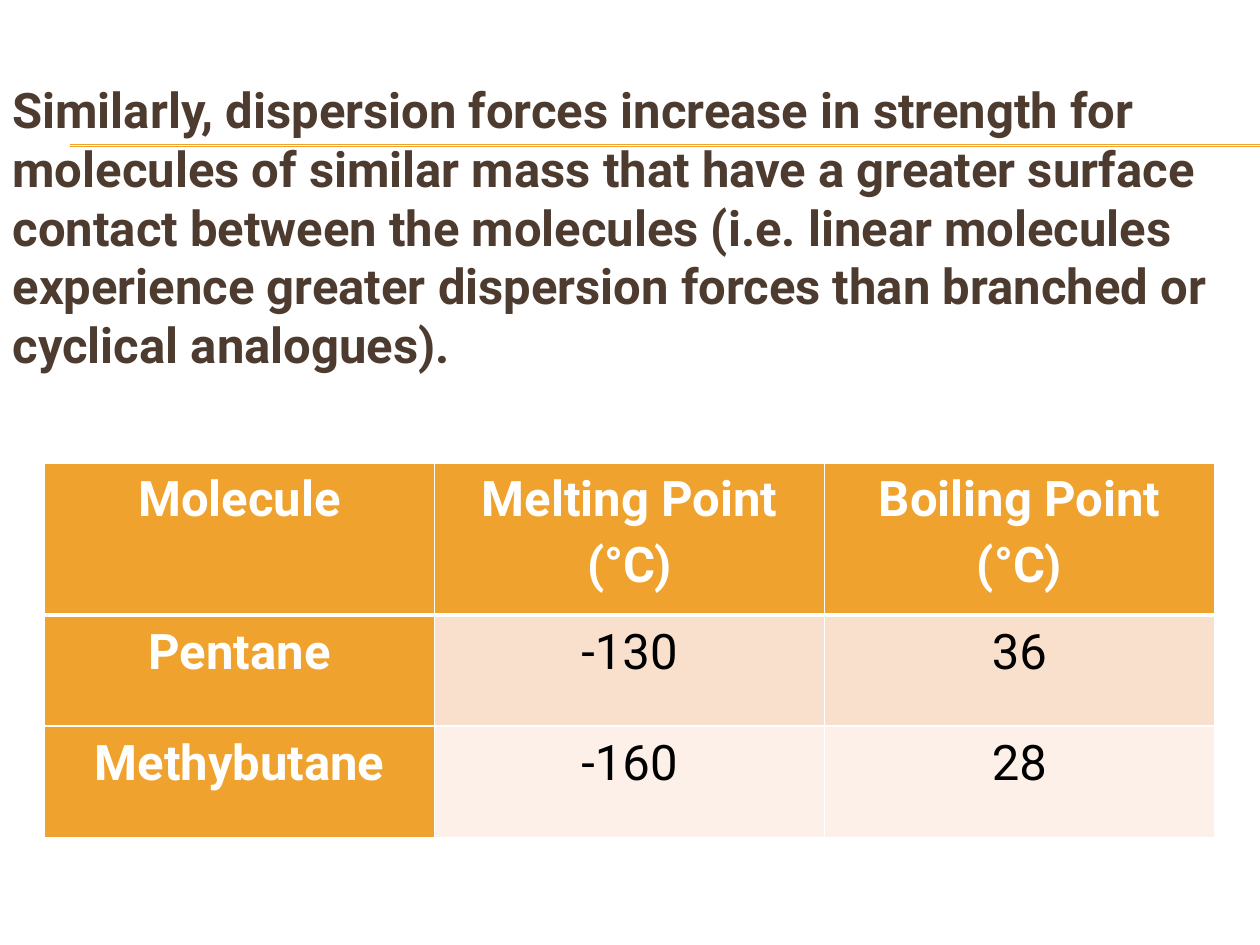
from lxml.etree import SubElement as Sub
from pptx import Presentation
from pptx.dml.color import RGBColor
from pptx.enum.shapes import MSO_CONNECTOR as Conn
from pptx.enum.text import MSO_ANCHOR as Anchor, MSO_AUTO_SIZE as Auto, PP_ALIGN as Align
from pptx.oxml.ns import qn
from pptx.util import Cm, Pt

CLAIM = (
    "Similarly, dispersion forces increase in strength for molecules of similar mass "
    "that have a greater surface contact between the molecules (i.e. linear molecules "
    "experience greater dispersion forces than branched or cyclical analogues)."
)
POINTS = [
    ("Molecule", "Melting Point (°C)", "Boiling Point (°C)"),
    ("Pentane", "-130", "36"),
    ("Methybutane", "-160", "28"),
]

AMBER = RGBColor(0xF0, 0xA2, 0x2E)
BROWN = RGBColor(0x4E, 0x3B, 0x30)
WHITE = RGBColor(0xFF, 0xFF, 0xFF)
BLACK = RGBColor(0, 0, 0)
BANDS = [RGBColor(0xF9, 0xE0, 0xCD), RGBColor(0xFC, 0xF0, 0xE8)]

WIDE, HIGH = Cm(25.4), Cm(19.05)
RULES = [2.92, 2.95]
COL = Cm(7.86)
ROWS = [Cm(3.07), Cm(2.24), Cm(2.24)]
BODY = {"left": 0, "top": 0, "width": WIDE, "height": HIGH}
FRAME = {"margin_top": Cm(1.6), "vertical_anchor": Anchor.TOP,
         "word_wrap": True, "auto_size": Auto.NONE}
INSET = {"margin_left": Cm(0.18), "margin_right": Cm(0.18),
         "margin_top": 0, "margin_bottom": 0, "vertical_anchor": Anchor.TOP}


def apply(item, values):
    for name, value in values.items():
        setattr(item, name, value)


def write(para, text, color, bold):
    run = para.add_run()
    run.text = text
    apply(run.font, {"name": "Roboto", "size": Pt(28), "bold": bold})
    run.font.color.rgb = color


def edge(cell, low):
    props = cell._tc.get_or_add_tcPr()
    for at, side in enumerate(("lnL", "lnR", "lnT", "lnB")):
        width = Pt(3 if side == low else 1)
        line = props.makeelement(qn("a:" + side), {"w": str(width)})
        fill = Sub(line, qn("a:solidFill"))
        Sub(fill, qn("a:srgbClr"), val=str(WHITE))
        props.insert(at, line)


def draw_rules(slide):
    for y in RULES:
        rule = slide.shapes.add_connector(Conn.STRAIGHT, Cm(1.42), Cm(y), WIDE, Cm(y))
        rule.line.color.rgb = AMBER
        rule.line.width = Pt(0.75)
        Sub(rule.element.spPr, qn("a:effectLst"))


def draw_claim(slide):
    body = slide.placeholders[1]
    apply(body, BODY)
    apply(body.text_frame, FRAME)
    para = body.text_frame.paragraphs[0]
    write(para, CLAIM, BROWN, True)
    apply(para, {"space_before": Pt(0), "alignment": Align.LEFT})
    props = para._p.get_or_add_pPr()
    props.set("marL", "0")
    props.set("indent", "0")
    Sub(props, qn("a:buNone"))
    slide.shapes.element.append(body.element)


def draw_table(slide):
    size = len(POINTS[0])
    table = slide.shapes.add_table(
        len(POINTS), size, Cm(0.9), Cm(9.33), COL * size, sum(ROWS)).table
    for col in table.columns:
        col.width = COL
    for r, (row, tall) in enumerate(zip(POINTS, ROWS)):
        table.rows[r].height = tall
        for c, text in enumerate(row):
            cell = table.cell(r, c)
            head = r == 0 or c == 0
            apply(cell, INSET)
            cell.fill.solid()
            cell.fill.fore_color.rgb = AMBER if head else BANDS[r - 1]
            edge(cell, {0: "lnB", 1: "lnT"}.get(r))
            para = cell.text_frame.paragraphs[0]
            apply(para, {"alignment": Align.CENTER, "line_spacing": 1.15})
            write(para, text, WHITE if head else BLACK, head)


def main():
    deck = Presentation()
    apply(deck, {"slide_width": WIDE, "slide_height": HIGH})
    slide = deck.slides.add_slide(deck.slide_layouts[1])
    title = slide.shapes.title.element
    title.getparent().remove(title)
    draw_rules(slide)
    draw_claim(slide)
    draw_table(slide)
    deck.save("out.pptx")


if __name__ == "__main__":
    main()
